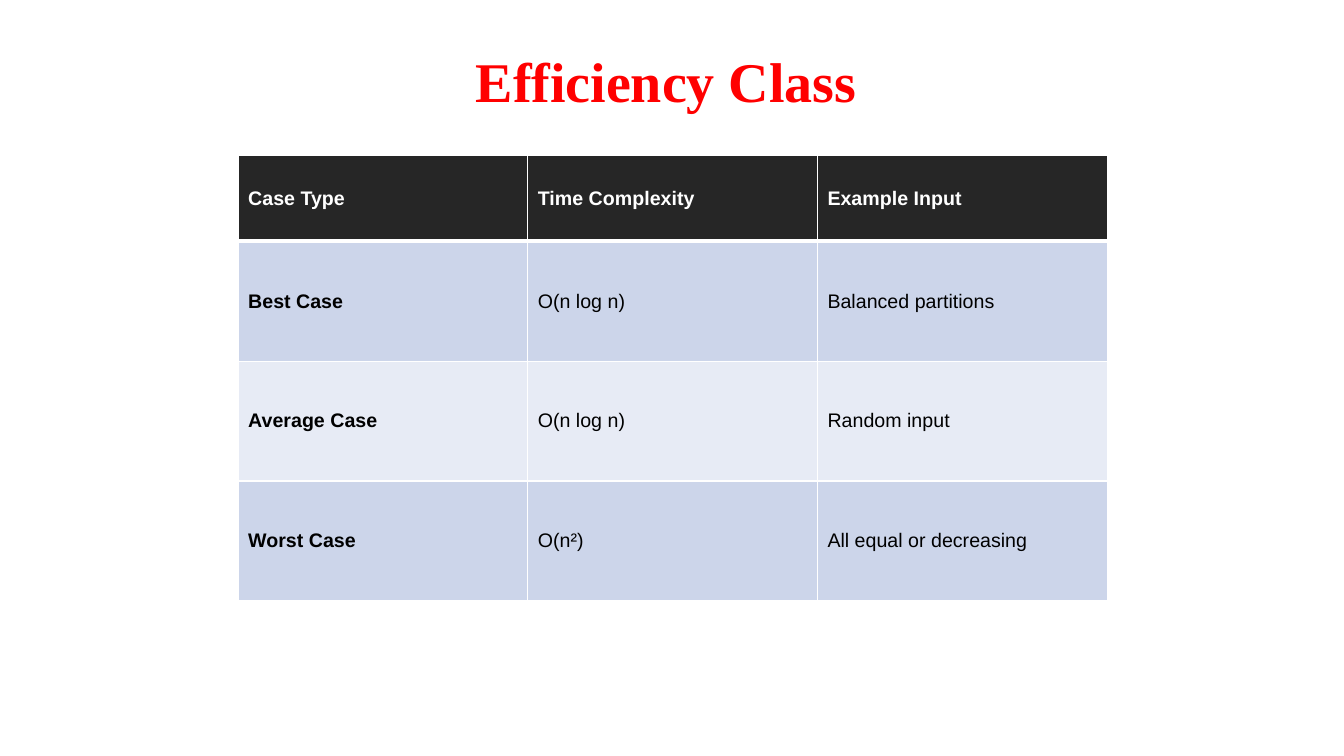
from lxml.etree import SubElement
from pptx import Presentation
from pptx.dml.color import RGBColor
from pptx.enum.text import MSO_ANCHOR as Anchor, PP_ALIGN as Align
from pptx.oxml.ns import qn
from pptx.util import Cm, Pt

RED = RGBColor(0xFF, 0x00, 0x00)
WHITE = RGBColor(0xFF, 0xFF, 0xFF)
BLACK = RGBColor(0x00, 0x00, 0x00)
CHARCOAL = RGBColor(0x26, 0x26, 0x26)
BAND_DARK = RGBColor(0xCC, 0xD5, 0xEA)
BAND_LIGHT = RGBColor(0xE7, 0xEB, 0xF5)

CASES = [
    ("Case Type", "Time Complexity", "Example Input"),
    ("Best Case", "O(n log n)", "Balanced partitions"),
    ("Average Case", "O(n log n)", "Random input"),
    ("Worst Case", "O(n²)", "All equal or decreasing"),
]


class SlideBuilder:
    title_font = "Times New Roman"
    body_font = "Arial"

    def __init__(self, presentation):
        self.slide = presentation.slides.add_slide(presentation.slide_layouts[5])

    def add_run(self, paragraph, text, font, size, color, bold):
        run = paragraph.add_run()
        run.text = text
        run.font.name = font
        run.font.size = Pt(size)
        run.font.bold = bold
        run.font.color.rgb = color

    def title(self, text, left, top, width, height):
        shape = self.slide.shapes.title
        shape.left, shape.top = Cm(left), Cm(top)
        shape.width, shape.height = Cm(width), Cm(height)
        frame = shape.text_frame
        frame.vertical_anchor = Anchor.BOTTOM
        frame.margin_left = Cm(2.54)
        frame.margin_right = frame.margin_bottom = 0
        paragraph = frame.paragraphs[0]
        paragraph.alignment = Align.LEFT
        self.add_run(paragraph, text, self.title_font, 40, RED, True)

    def borders(self, cell, widths):
        properties = cell._tc.get_or_add_tcPr()
        for position, (side, width) in enumerate(widths.items()):
            line = SubElement(properties, qn(f"a:{side}"), w=str(Pt(width)))
            fill = SubElement(line, qn("a:solidFill"))
            SubElement(fill, qn("a:srgbClr"), val=str(WHITE))
            properties.insert(position, line)

    def table(self, rows, left, top, column_width, header_height, row_height):
        columns = len(rows[0])
        heights = [header_height] + [row_height] * (len(rows) - 1)
        frame = self.slide.shapes.add_table(
            len(rows), columns, Cm(left), Cm(top),
            Cm(column_width * columns), Cm(sum(heights)))
        table = frame.table
        for column in table.columns:
            column.width = Cm(column_width)
        for row, (texts, height) in enumerate(zip(rows, heights)):
            table.rows[row].height = Cm(height)
            header = row == 0
            band = BAND_DARK if row % 2 else BAND_LIGHT
            for column, text in enumerate(texts):
                cell = table.cell(row, column)
                cell.vertical_anchor = Anchor.MIDDLE
                cell.fill.solid()
                cell.fill.fore_color.rgb = CHARCOAL if header else band
                self.borders(cell, {"lnL": 1, "lnR": 1,
                                    "lnT": 3 if row == 1 else 1,
                                    "lnB": 3 if header else 1})
                self.add_run(cell.text_frame.paragraphs[0], text, self.body_font,
                             14, WHITE if header else BLACK, header or column == 0)


def main():
    presentation = Presentation()
    presentation.slide_width = Cm(33.87)
    presentation.slide_height = Cm(19.05)
    builder = SlideBuilder(presentation)
    builder.title("Efficiency Class", 9.45, 1.09, 14.96, 1.78)
    builder.table(CASES, 6, 3.92, 7.3, 2.16, 3.02)
    presentation.save("out.pptx")


if __name__ == "__main__":
    main()
